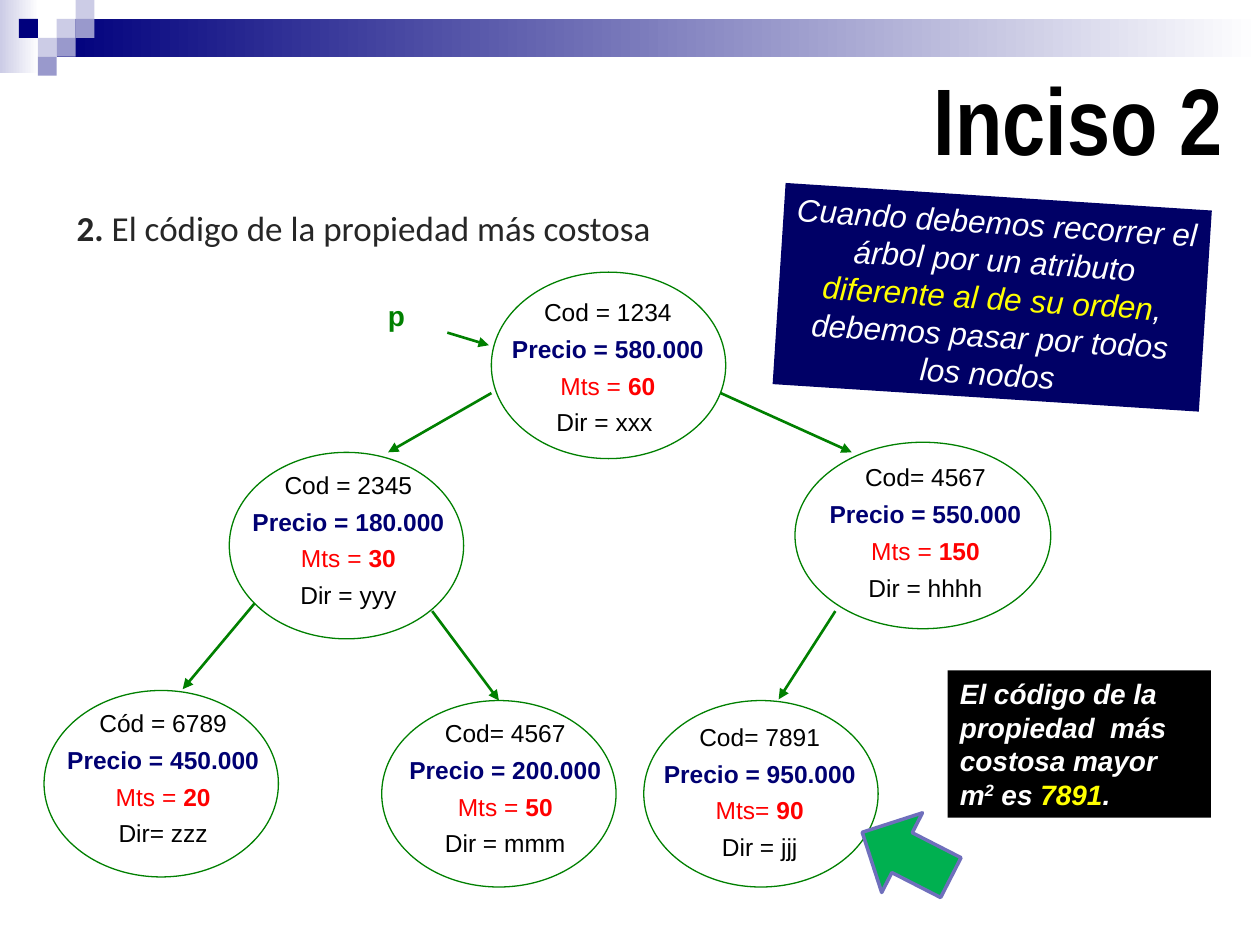
from typing import NamedTuple

from lxml import etree
from pptx import Presentation
from pptx import util as u
from pptx.dml.color import RGBColor
from pptx.enum import shapes, text
from pptx.oxml.ns import qn

BLACK = RGBColor(0x00, 0x00, 0x00)
WHITE = RGBColor(0xFF, 0xFF, 0xFF)
CHARCOAL = RGBColor(0x26, 0x26, 0x26)
RED = RGBColor(0xFF, 0x00, 0x00)
YELLOW = RGBColor(0xFF, 0xFF, 0x00)
GREEN = RGBColor(0x00, 0x80, 0x00)
ARROW_GREEN = RGBColor(0x00, 0xB0, 0x50)
ARROW_EDGE = RGBColor(0x6F, 0x6F, 0xBC)
PRICE_BLUE = RGBColor(0x00, 0x00, 0x72)
NOTE_BLUE = RGBColor(0x00, 0x00, 0x66)
NAVY = RGBColor(0x00, 0x00, 0x7D)
LILAC = RGBColor(0x99, 0x99, 0xCC)
PALE = RGBColor(0xCC, 0xCC, 0xE6)

SHAPE = shapes.MSO_SHAPE
ALIGN = text.PP_ALIGN
TILE = 0.15


class Frame(NamedTuple):
    left: float
    top: float
    width: float
    height: float

    def lengths(self) -> list:
        return [u.Inches(value) for value in self]


class Span(NamedTuple):
    words: str
    color: RGBColor
    bold: bool = False
    italic: bool = False
    raised: bool = False


class Node(NamedTuple):
    oval: Frame
    label: Frame
    code: str
    price: str
    metres: tuple
    address: str


class Arrow(NamedTuple):
    start: tuple
    end: tuple


TILES = [(3, 1, PALE), (4, 0, PALE), (4, 1, LILAC), (2, 2, PALE),
         (1, 1, NAVY), (3, 2, LILAC), (2, 3, LILAC)]

NODES = [
    Node(Frame(3.9, 2.16, 1.86, 1.48), Frame(3.86, 2.31, 1.93, 1.3),
         "Cod = 1234", "580.000", ("Mts = ", "60"), "Dir = xxx "),
    Node(Frame(1.82, 3.59, 1.86, 1.48), Frame(1.82, 3.68, 1.89, 1.3),
         "Cod = 2345", "180.000", ("Mts = ", "30"), "Dir = yyy"),
    Node(Frame(6.31, 3.51, 2.03, 1.48), Frame(6.42, 3.62, 1.85, 1.3),
         "Cod= 4567", "550.000", ("Mts = ", "150"), "Dir = hhhh"),
    Node(Frame(3.03, 5.56, 1.86, 1.48), Frame(3.1, 5.65, 1.82, 1.3),
         "Cod= 4567", "200.000", ("Mts = ", "50"), "Dir = mmm"),
    Node(Frame(0.35, 5.48, 1.86, 1.48), Frame(0.35, 5.57, 1.89, 1.3),
         "Cód = 6789", "450.000", ("Mts = ", "20"), "Dir= zzz"),
    Node(Frame(5.11, 5.56, 1.86, 1.48), Frame(5, 5.68, 2.06, 1.3),
         "Cod= 7891", "950.000", ("Mts= ", "90"), "Dir = jjj"),
]

ARROWS = [
    Arrow((3.55, 2.64), (3.88, 2.74)),
    Arrow((3.9, 3.12), (3.08, 3.59)),
    Arrow((5.72, 3.12), (6.76, 3.59)),
    Arrow((3.43, 4.85), (3.96, 5.56)),
    Arrow((2.02, 4.79), (1.45, 5.47)),
    Arrow((6.63, 4.85), (6.18, 5.55)),
]


def add_block(parent, frame: Frame, fill: RGBColor | None = None, kind=SHAPE.RECTANGLE):
    block = parent.shapes.add_shape(kind, *frame.lengths())
    block.shadow.inherit = False
    block.line.fill.background()
    if fill is None:
        block.fill.background()
    else:
        block.fill.solid()
        block.fill.fore_color.rgb = fill
    return block


def add_fade(page, frame: Frame, color: RGBColor) -> None:
    fill = add_block(page, frame).fill
    fill.gradient()
    fill.gradient_angle = 0
    for stop, shade in zip(fill.gradient_stops, (color, WHITE)):
        stop.color.rgb = shade


def write(box, lines: list[list[Span]], size: float, font: str = "Arial",
          align=ALIGN.LEFT, gap: float = 0, wrap: bool = True, grow: bool = True) -> None:
    body = box.text_frame
    body.word_wrap = wrap
    body.auto_size = text.MSO_AUTO_SIZE.SHAPE_TO_FIT_TEXT if grow else text.MSO_AUTO_SIZE.NONE
    body.vertical_anchor = text.MSO_ANCHOR.TOP
    for index, line in enumerate(lines):
        para = body.add_paragraph() if index else body.paragraphs[0]
        para.alignment = align
        if index and gap:
            para.space_before = u.Pt(gap)
        for span in line:
            run = para.add_run()
            run.text = span.words
            run.font.name = font
            run.font.size = u.Pt(size)
            run.font.bold = span.bold
            run.font.italic = span.italic
            run.font.color.rgb = span.color
            if span.raised:
                run._r.get_or_add_rPr().set("baseline", "30000")


def add_node(page, node: Node) -> None:
    group = page.shapes.add_group_shape()
    oval = add_block(group, node.oval, kind=SHAPE.OVAL)
    oval.line.color.rgb = GREEN
    oval.line.width = u.Pt(0.75)
    prefix, metres = node.metres
    write(group.shapes.add_textbox(*node.label.lengths()), [
        [Span(node.code, BLACK)],
        [Span(f"Precio = {node.price}", PRICE_BLUE, bold=True)],
        [Span(prefix, RED), Span(metres, RED, bold=True)],
        [Span(node.address, BLACK)],
    ], 14, align=ALIGN.CENTER, gap=4.2, grow=False)


def add_arrow(page, arrow: Arrow) -> None:
    ends = [u.Inches(value) for value in arrow.start + arrow.end]
    link = page.shapes.add_connector(shapes.MSO_CONNECTOR.STRAIGHT, *ends)
    link.line.color.rgb = GREEN
    link.line.width = u.Pt(1.5)
    etree.SubElement(link.line._get_or_add_ln(), qn("a:tailEnd"), type="triangle")
    etree.SubElement(link._element.spPr, qn("a:effectLst"))


def main() -> None:
    deck = Presentation()
    deck.slide_width, deck.slide_height = u.Inches(10), u.Inches(7.5)
    page = deck.slides.add_slide(deck.slide_layouts[6])

    add_fade(page, Frame(0, 0, 0.31, 0.58), PALE)
    add_fade(page, Frame(0.45, 0.15, 9.55, 0.3), NAVY)
    for column, row, color in TILES:
        add_block(page, Frame(column * TILE, row * TILE, TILE, TILE), color)

    for node in NODES:
        add_node(page, node)
    for arrow in ARROWS:
        add_arrow(page, arrow)

    pointer = page.shapes.add_textbox(*Frame(2.98, 2.32, 0.33, 0.37).lengths())
    write(pointer, [[Span("p", GREEN, bold=True)]], 16, wrap=False)

    question = page.shapes.add_textbox(*Frame(0.51, 1.56, 9.29, 0.47).lengths())
    write(question, [[Span("2.", CHARCOAL, bold=True),
                      Span(" El código de la propiedad más costosa", CHARCOAL)]], 20, "Calibri")
    question.text_frame.paragraphs[0].line_spacing = 1.1

    advice = add_block(page, Frame(6.18, 1.56, 3.39, 1.6), NOTE_BLUE)
    advice.rotation = 3.7
    write(advice, [[
        Span("Cuando debemos recorrer el árbol por un atributo ", WHITE, italic=True),
        Span("diferente al de su orden", YELLOW, italic=True),
        Span(", debemos pasar por todos los nodos", WHITE, italic=True),
    ]], 18, align=ALIGN.CENTER)

    title = page.shapes.add_textbox(*Frame(0.44, 0.45, 9.36, 0.97).lengths())
    write(title, [[Span("Inciso 2", BLACK, bold=True)]], 54, "Arial Narrow",
          ALIGN.RIGHT, grow=False)
    title.text_frame.vertical_anchor = text.MSO_ANCHOR.MIDDLE

    answer = add_block(page, Frame(7.52, 5.32, 2.09, 1.17), BLACK)
    write(answer, [[
        Span("El código de la propiedad  más costosa mayor m", WHITE, True, True),
        Span("2", WHITE, True, True, raised=True),
        Span(" es ", WHITE, True, True),
        Span("7891", YELLOW, True, True),
        Span(".", WHITE, True, True),
    ]], 16)

    marker = add_block(page, Frame(6.8, 6.43, 0.79, 0.71), ARROW_GREEN, SHAPE.RIGHT_ARROW)
    marker.rotation = 207.1
    marker.line.color.rgb = ARROW_EDGE
    marker.line.width = u.Pt(2)

    deck.save("out.pptx")


if __name__ == "__main__":
    main()
